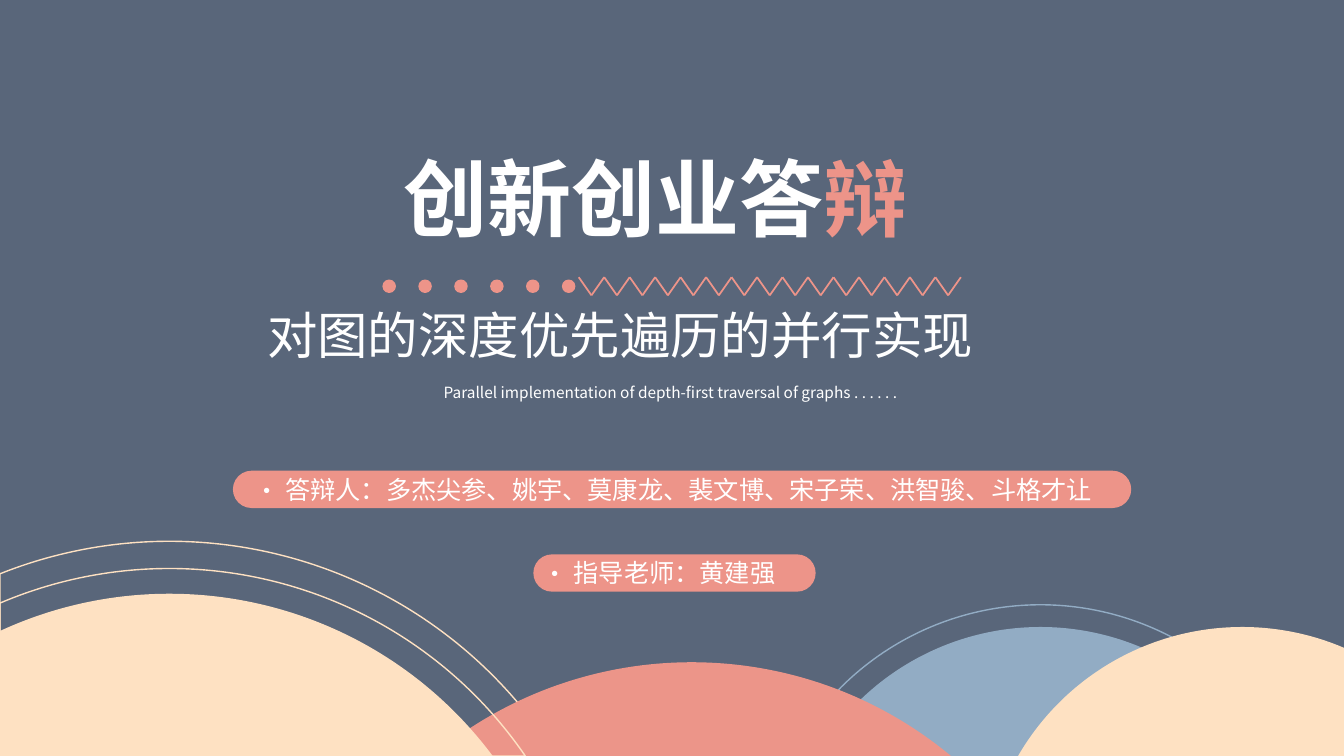
import math
from dataclasses import dataclass

import lxml.etree
import pptx
import pptx.dml.color
import pptx.enum.shapes
import pptx.enum.text
import pptx.oxml.ns
import pptx.util

RGBColor = pptx.dml.color.RGBColor
SLATE = RGBColor(0x59, 0x66, 0x7A)
CREAM = RGBColor(0xFE, 0xE1, 0xC2)
BLUE = RGBColor(0x92, 0xAC, 0xC4)
SALMON = RGBColor(0xEC, 0x95, 0x89)
CORAL = RGBColor(0xED, 0x94, 0x89)
WHITE = RGBColor(0xFF, 0xFF, 0xFF)

FONT = "Noto Sans CJK SC"
PX = 9144  # EMU; 100 px to the inch
WIDTH, HEIGHT = 1333, 750


@dataclass(frozen=True)
class Hill:
    """A circle of which only the part above the slide's bottom shows."""
    center_x: int
    top: int
    radius: int
    color: RGBColor
    filled: bool


@dataclass(frozen=True)
class Label:
    text: str
    left: int
    top: int
    width: int
    height: int
    size: int
    bulleted: bool = False


HILLS = [
    Hill(1032, 600, 280, BLUE, False),
    Hill(168, 537, 453, CREAM, False),
    Hill(1032, 622, 257, BLUE, True),
    Hill(686, 657, 402, SALMON, True),
    Hill(168, 589, 400, CREAM, True),
    Hill(1232, 622, 257, CREAM, True),
    Hill(168, 564, 428, CREAM, False),
]
LABELS = [
    Label("对图的深度优先遍历的并行实现", 265, 301, 803, 61, 36),
    Label("答辩人：多杰尖参、姚宇、莫康龙、裴文博、宋子荣、洪智骏、斗格才让",
          252, 471, 834, 30, 18, True),
    Label("指导老师：黄建强", 538, 553, 250, 30, 18, True),
    Label("Parallel implementation of depth-first traversal of graphs . . . . . .",
          440, 380, 457, 18, 11),
]
PILLS = [(529, 550, 280, 37), (231, 467, 891, 37)]
DOT_COUNT, DOT_LEFT, DOT_SPAN, DOT_TOP, DOT_SIZE = 6, 380, 178, 278, 12
ZIGZAG_COUNT, ZIGZAG_LEFT, ZIGZAG_SPAN = 30, 574, 379
ZIGZAG_TOP, ZIGZAG_BOTTOM = 275, 293


def px(*lengths: float) -> list[pptx.util.Emu]:
    return [pptx.util.Emu(round(length * PX)) for length in lengths]


def bend(sp: pptx.shapes.autoshape.Shape, segment: lxml.etree._Element,
         controls: list[list[pptx.util.Emu]]) -> None:
    """Turn a straight segment of a freeform into a cubic curve."""
    segment.tag = pptx.oxml.ns.qn("a:cubicBezTo")
    for i, (x, y) in enumerate(controls):
        point = segment.makeelement(pptx.oxml.ns.qn("a:pt"),
                                    {"x": str(x - sp.left), "y": str(y - sp.top)})
        segment.insert(i, point)


def draw_hill(s: pptx.slide.Slide, hill: Hill) -> None:
    center_y = hill.top + hill.radius
    half = math.acos((center_y - HEIGHT) / hill.radius)
    start = max(-half, -math.asin(min(1, hill.center_x / hill.radius)))
    end = min(half, math.asin(min(1, (WIDTH - hill.center_x) / hill.radius)))

    def on_arc(angle: float, handle: float = 0) -> list[pptx.util.Emu]:
        """Point at an angle from the peak, moved along the tangent by handle radii."""
        return px(hill.center_x + hill.radius * (math.sin(angle) + handle * math.cos(angle)),
                  center_y - hill.radius * (math.cos(angle) - handle * math.sin(angle)))

    angles = (start, 0, end)
    arc = [on_arc(angle) for angle in angles]
    bottom = px(HEIGHT)[0]
    corners = [(x, bottom) for x, y in (arc[2], arc[0]) if bottom - y > PX]
    builder = s.shapes.build_freeform(*arc[0])
    builder.add_line_segments([*arc[1:], *corners], close=True)
    sp = builder.convert_to_shape()
    segments = list(sp._element.iter(pptx.oxml.ns.qn("a:lnTo")))
    for segment, a, b in zip(segments, angles, angles[1:]):
        handle = 4 / 3 * math.tan((b - a) / 4)
        bend(sp, segment, [on_arc(a, handle), on_arc(b, -handle)])
    sp.shadow.inherit = False
    if hill.filled:
        sp.fill.solid()
        sp.fill.fore_color.rgb = hill.color
        sp.line.fill.background()
    else:
        sp.fill.background()
        sp.line.color.rgb = hill.color
        sp.line.width = pptx.util.Pt(1)


def add_coral_shape(shapes: pptx.shapes.shapetree._BaseGroupShapes,
                    kind: pptx.enum.shapes.MSO_SHAPE, left: float, top: int,
                    width: int, height: int) -> pptx.shapes.autoshape.Shape:
    sp = shapes.add_shape(kind, *px(left, top, width, height))
    sp.shadow.inherit = False
    sp.fill.solid()
    sp.fill.fore_color.rgb = CORAL
    sp.line.fill.background()
    return sp


def format_frame(tf: pptx.text.text.TextFrame) -> None:
    tf.margin_left = tf.margin_top = tf.margin_right = tf.margin_bottom = 0
    tf.word_wrap = True
    tf.auto_size = pptx.enum.text.MSO_AUTO_SIZE.NONE
    tf.vertical_anchor = pptx.enum.text.MSO_ANCHOR.MIDDLE


def format_paragraph(p: pptx.text.text._Paragraph, size: int, bold: bool = False) -> None:
    p.alignment = pptx.enum.text.PP_ALIGN.JUSTIFY
    p.font.size = pptx.util.Pt(size)
    p.font.bold = bold
    p.font.color.rgb = WHITE
    p.font.name = FONT
    # East Asian glyphs take their typeface from a:ea.
    latin = p.font._element.find(pptx.oxml.ns.qn("a:latin"))
    latin.addnext(latin.makeelement(pptx.oxml.ns.qn("a:ea"), {"typeface": FONT}))


def add_bullet(p: pptx.text.text._Paragraph) -> None:
    p_pr = p._p.get_or_add_pPr()
    indent = px(31)[0]
    p_pr.set("marL", str(indent))
    p_pr.set("indent", str(-indent))
    marks = [("a:buFont", {"typeface": FONT}), ("a:buChar", {"char": "•"})]
    for i, (tag, attributes) in enumerate(marks):
        p_pr.insert(i, p_pr.makeelement(pptx.oxml.ns.qn(tag), attributes))


def add_label(s: pptx.slide.Slide, label: Label) -> None:
    box = s.shapes.add_textbox(*px(label.left, label.top, label.width, label.height))
    tf = box.text_frame
    format_frame(tf)
    p = tf.paragraphs[0]
    p.text = label.text
    format_paragraph(p, label.size)
    if label.bulleted:
        p.alignment = pptx.enum.text.PP_ALIGN.LEFT
        add_bullet(p)


def add_title(s: pptx.slide.Slide) -> None:
    title = s.shapes.title
    title.left, title.top, title.width, title.height = px(400, 145, 533, 101)
    tf = title.text_frame
    format_frame(tf)
    p = tf.paragraphs[0]
    p.add_run().text = "创新创业答"
    r = p.add_run()
    r.text = "辩"
    r.font.color.rgb = CORAL
    format_paragraph(p, 60, bold=True)


def draw_zigzag(group: pptx.shapes.group.GroupShape) -> None:
    levels = (ZIGZAG_TOP, ZIGZAG_BOTTOM)
    points = [px(ZIGZAG_LEFT + ZIGZAG_SPAN * i / ZIGZAG_COUNT, levels[i % 2])
              for i in range(ZIGZAG_COUNT + 1)]
    for begin, end in zip(points, points[1:]):
        line = group.shapes.add_connector(pptx.enum.shapes.MSO_CONNECTOR.STRAIGHT, *begin, *end)
        line.line.color.rgb = CORAL
        line.line.width = pptx.util.Pt(1.25)
        lxml.etree.SubElement(line._element.spPr, pptx.oxml.ns.qn("a:effectLst"))


def draw_dots(group: pptx.shapes.group.GroupShape) -> None:
    for i in range(DOT_COUNT):
        left = DOT_LEFT + DOT_SPAN * i / (DOT_COUNT - 1)
        dot = add_coral_shape(group.shapes, pptx.enum.shapes.MSO_SHAPE.OVAL,
                              left, DOT_TOP, DOT_SIZE, DOT_SIZE)
        dot.line.color.rgb = CORAL
        dot.line.width = pptx.util.Pt(1)


def main() -> None:
    prs = pptx.Presentation()
    prs.slide_width, prs.slide_height = px(WIDTH, HEIGHT)
    s = prs.slides.add_slide(prs.slide_layouts.get_by_name("Title Only"))
    s.background.fill.solid()
    s.background.fill.fore_color.rgb = SLATE
    for hill in HILLS:
        draw_hill(s, hill)
    for pill in PILLS:
        sp = add_coral_shape(s.shapes, pptx.enum.shapes.MSO_SHAPE.ROUNDED_RECTANGLE, *pill)
        sp.adjustments[0] = 0.5
    add_title(s)
    for label in LABELS:
        add_label(s, label)
    divider = s.shapes.add_group_shape()
    draw_zigzag(divider)
    draw_dots(divider)
    prs.save("out.pptx")


if __name__ == "__main__":
    main()
